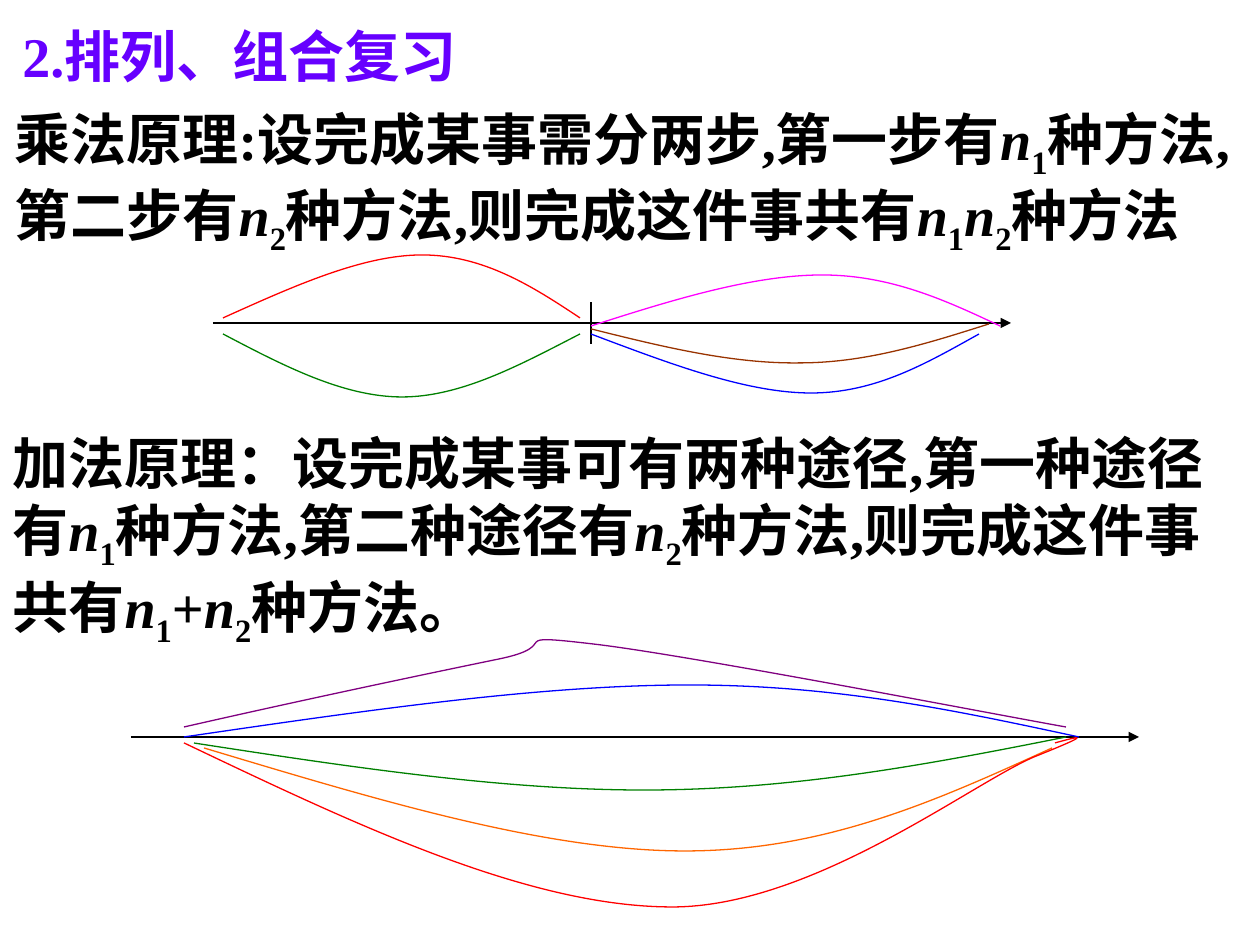
from lxml import etree
from pptx import Presentation
from pptx.dml.color import RGBColor
from pptx.enum.shapes import MSO_CONNECTOR
from pptx.enum.text import MSO_ANCHOR, MSO_AUTO_SIZE
from pptx.oxml.ns import qn
from pptx.util import Pt

PX = 914400 / 126
STRAIGHT = MSO_CONNECTOR.STRAIGHT
TOP, MIDDLE = MSO_ANCHOR.TOP, MSO_ANCHOR.MIDDLE
GROW = MSO_AUTO_SIZE.SHAPE_TO_FIT_TEXT
FONT, SIZE, LINE_WIDTH = "Times New Roman", 32, 0.75
BLACK, VIOLET = "000000", "6600FF"

# box in px, anchor, colour, text with its runs separated by "|"
TEXTS = [
    ((2, 64, 1260, 233), MIDDLE, BLACK,
     "乘法原理:设完成某事需分两步,第一步有|n|1|种方法,第二步有|n|2|"
     "种方法,则完成这件事共有|n|1|n|2|种方法"),
    ((10, 15, 480, 81), TOP, VIOLET, "2.排列、组合复习"),
    ((0, 422, 1260, 233), MIDDLE, BLACK,
     "加法原理：设完成某事可有两种途径,第一种途径有|n|1|种方法,第二种途径有|n|2|"
     "种方法,则完成这件事共有|n|1|+|n|2|种方法。"),
]

# from x, y, to x, y in px, arrowhead at the end
AXES = [
    ((213, 323, 1011, 323), True),
    ((591, 344, 591, 302), False),
    ((131, 737, 1139, 737), True),
]

# colour, start point followed by three Bézier points per segment
STEP_ROUTES = [
    ("008000", [(223, 334), (282, 365), (343, 397), (402, 397),
                (461, 397), (520, 365), (580, 334)]),
    ("FF00FF", [(591, 326), (672, 300), (753, 275), (822, 275),
                (890, 275), (945, 300), (1000, 326)]),
    ("993300", [(591, 329), (663, 347), (733, 364), (800, 363),
                (867, 363), (929, 343), (989, 324)]),
    ("0000FF", [(591, 334), (668, 363), (746, 393), (811, 393),
                (876, 393), (927, 363), (979, 334)]),
    ("FF0000", [(223, 318), (294, 286), (363, 255), (422, 255),
                (483, 255), (532, 286), (580, 318)]),
]
WAY_ROUTES = [
    ("0000FF", [(184, 737), (362, 711), (539, 685), (689, 685),
                (838, 685), (958, 711), (1079, 737)]),
    ("008000", [(194, 743), (350, 767), (508, 791), (653, 790),
                (798, 789), (931, 764), (1066, 737)]),
    ("FF6600", [(204, 748), (374, 799), (544, 851), (685, 851),
                (827, 851), (940, 799), (1052, 748)]),
    ("800080", [(184, 727), (307, 699), (431, 673), (499, 659),
                (567, 645), (499, 633), (593, 644),
                (688, 655), (987, 713), (1066, 727)]),
    ("FF0000", [(184, 743), (354, 824), (524, 905), (667, 907),
                (808, 910), (969, 785), (1034, 757),
                (1099, 731), (1077, 737), (1055, 743)]),
]


def px(values):
    return [round(value * PX) for value in values]


def rgb(color):
    return RGBColor.from_string(color)


def set_line(line, color):
    line.color.rgb = rgb(color)
    line.width = Pt(LINE_WIDTH)


def add_text(shapes, box, anchor, color, text):
    """Add a text box; n is set in italics and a lone digit as a subscript."""
    frame = shapes.add_textbox(*px(box)).text_frame
    frame.word_wrap = True
    frame.auto_size = GROW
    frame.vertical_anchor = anchor
    paragraph = frame.paragraphs[0]
    font = paragraph.font
    font.name, font.size, font.bold = FONT, Pt(SIZE), True
    font.color.rgb = rgb(color)
    for piece in text.split("|"):
        run = paragraph.add_run()
        run.text = piece
        if piece == "n":
            run.font.italic = True
        elif piece.isdigit():
            run.font._element.set("baseline", "-25000")


def add_axis(shapes, ends, arrow):
    axis = shapes.add_connector(STRAIGHT, *px(ends))
    set_line(axis.line, BLACK)
    if arrow:
        etree.SubElement(axis.line._get_or_add_ln(), qn("a:tailEnd"), type="triangle")
    etree.SubElement(axis._element.spPr, qn("a:effectLst"))


def add_curve(shapes, color, points):
    """Draw a freeform and turn every three straight segments into one Bézier."""
    builder = shapes.build_freeform(*points[0], scale=PX)
    builder.add_line_segments(points[1:], close=False)
    curve = builder.convert_to_shape()
    curve.shadow.inherit = False
    curve.fill.background()
    set_line(curve.line, color)
    outline = next(curve._element.iter(qn("a:path")))
    segments = outline.findall(qn("a:lnTo"))
    for first in range(0, len(segments), 3):
        bezier = etree.SubElement(outline, qn("a:cubicBezTo"))
        for segment in segments[first:first + 3]:
            bezier.append(segment[0])
            outline.remove(segment)


def main():
    deck = Presentation()
    deck.slide_width, deck.slide_height = px((1260, 945))
    shapes = deck.slides.add_slide(deck.slide_layouts[6]).shapes
    for text in TEXTS:
        add_text(shapes, *text)
    for axis in AXES:
        add_axis(shapes, *axis)
    for route in STEP_ROUTES + WAY_ROUTES:
        add_curve(shapes, *route)
    deck.save("out.pptx")


if __name__ == "__main__":
    main()
